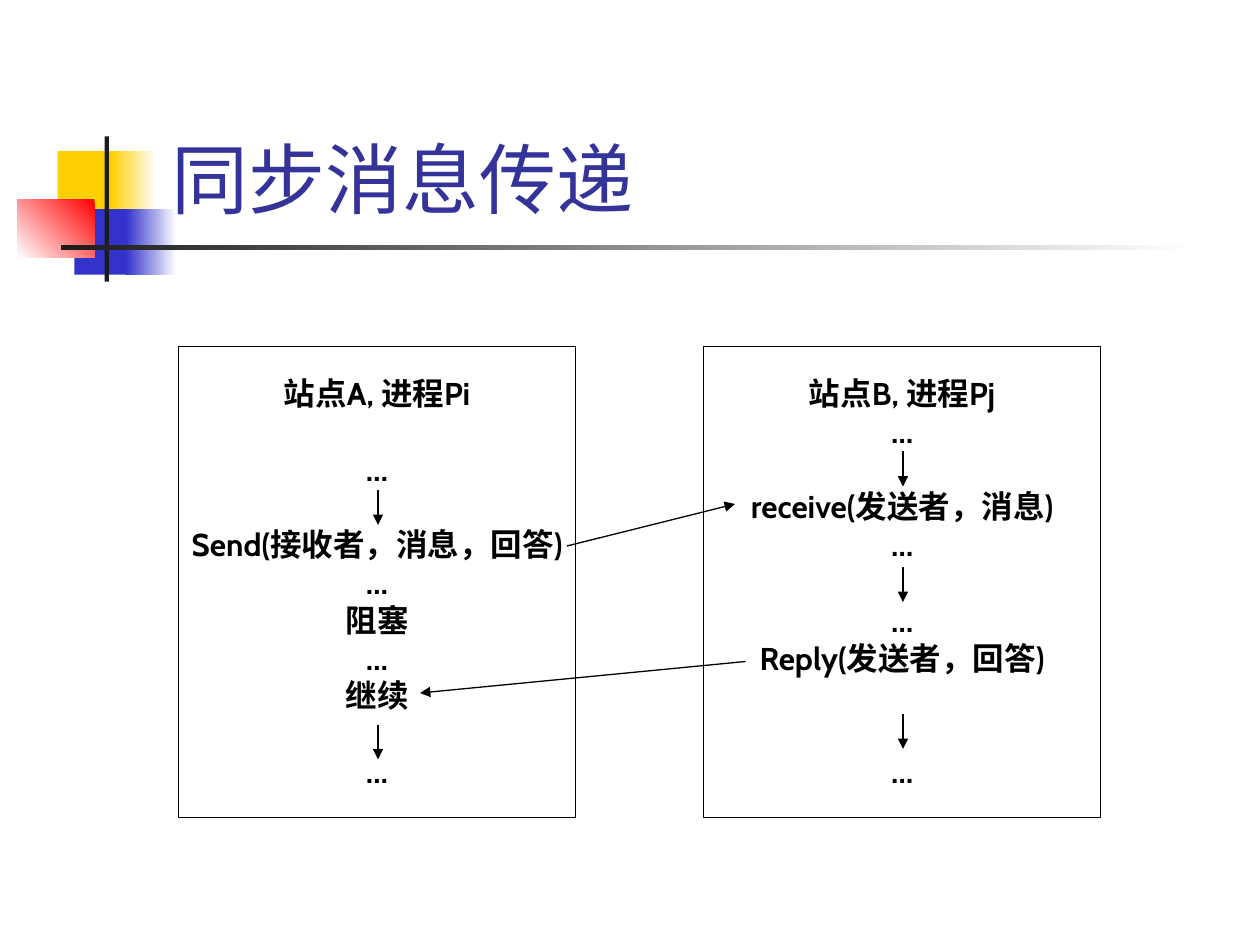
from dataclasses import dataclass
from typing import NamedTuple

from lxml.etree import SubElement
from pptx import Presentation
from pptx.dml.color import RGBColor as Rgb
from pptx.enum.shapes import MSO_CONNECTOR as Connector, MSO_SHAPE as Preset
from pptx.enum.text import MSO_ANCHOR as Anchor, MSO_AUTO_SIZE as AutoSize, PP_ALIGN as Align
from pptx.oxml.ns import qn
from pptx.util import Pt


@dataclass(frozen=True)
class Theme:
    font: str = "Cabin"
    title_size: float = 44
    step_size: float = 18
    step_pitch: float = 21.6
    line_width: float = 0.75
    title: Rgb = Rgb(0x33, 0x33, 0x99)
    ink: Rgb = Rgb(0, 0, 0)
    paper: Rgb = Rgb(0xFF, 0xFF, 0xFF)
    yellow: Rgb = Rgb(0xFF, 0xCF, 0x01)
    blue: Rgb = Rgb(0x33, 0x33, 0xCC)
    red: Rgb = Rgb(0xFF, 0, 0)
    rule: Rgb = Rgb(0x1C, 0x1C, 0x1C)


class Box(NamedTuple):
    left: float
    top: float
    width: float
    height: float


THEME = Theme()
ARROW_LENGTH = 20

SITE_A = [
    ("站点A, 进程Pi", 0),
    ("…", 1),
    ("Send(接收者，消息，回答)", 1),
    ("…", 0),
    ("阻塞", 0),
    ("…", 0),
    ("继续", 0),
    ("…", 1),
]
SITE_B = [
    ("站点B, 进程Pj", 0),
    ("…", 0),
    ("receive(发送者，消息)", 1),
    ("…", 0),
    ("…", 1),
    ("Reply(发送者，回答)", 0),
    ("…", 2),
]


def style_font(font, size, color, bold=False):
    font.name = THEME.font
    font.size = Pt(size)
    font.bold = bold
    font.color.rgb = color


def add_rectangle(slide, box):
    rectangle = slide.shapes.add_shape(Preset.RECTANGLE, *map(Pt, box))
    rectangle.shadow.inherit = False
    return rectangle


def add_block(slide, box, color, fade_to=None, angle=0):
    block = add_rectangle(slide, box)
    block.line.fill.background()
    if fade_to is None:
        block.fill.solid()
        block.fill.fore_color.rgb = color
    else:
        block.fill.gradient()
        block.fill.gradient_angle = angle
        for stop, position, shade in zip(block.fill.gradient_stops, (0, 1), (color, fade_to)):
            stop.position = position
            stop.color.rgb = shade


def add_arrow(slide, start, end):
    arrow = slide.shapes.add_connector(Connector.STRAIGHT, *map(Pt, (*start, *end)))
    arrow.line.color.rgb = THEME.ink
    arrow.line.width = Pt(THEME.line_width)
    SubElement(arrow.line._get_or_add_ln(), qn("a:tailEnd"), type="triangle")
    SubElement(arrow._element.spPr, qn("a:effectLst"))


def add_emblem(slide, box):
    blocks = [
        ((23, 8.4, 34.6, 37.4), THEME.yellow, None, 0),
        ((53.4, 8.4, 25.9, 37.4), THEME.paper, THEME.yellow, 180),
        ((32.5, 41.5, 33.1, 37.4), THEME.blue, None, 0),
        ((62, 41.5, 28.8, 37.4), THEME.paper, THEME.blue, 180),
        ((0, 35.8, 44, 33.1), THEME.red, THEME.paper, 225),
        ((49.8, 0, 2.5, box.height), THEME.rule, None, 0),
        ((24.6, 62.2, box.width - 24.6, 2.5), THEME.paper, THEME.rule, 180),
    ]
    for (left, top, width, height), color, fade_to, angle in blocks:
        place = Box(box.left + left, box.top + top, width, height)
        add_block(slide, place, color, fade_to, angle)


def place_title(slide, box, wording):
    title = slide.shapes.title
    title.left, title.top, title.width, title.height = map(Pt, box)
    frame = title.text_frame
    frame.text = wording
    frame.auto_size = AutoSize.NONE
    frame.vertical_anchor = Anchor.BOTTOM
    heading = frame.paragraphs[0]
    heading.alignment = Align.LEFT
    style_font(heading.runs[0].font, THEME.title_size, THEME.title)


def add_site(slide, box, steps, arrow_tops):
    site = add_rectangle(slide, box)
    site.fill.background()
    site.line.color.rgb = THEME.ink
    site.line.width = Pt(THEME.line_width)
    frame = site.text_frame
    frame.word_wrap = False
    frame.vertical_anchor = Anchor.MIDDLE
    frame.text = "\n".join(wording for wording, _ in steps)
    for step, (_, rows_skipped) in zip(frame.paragraphs, steps):
        step.alignment = Align.CENTER
        step.space_before = Pt(rows_skipped * THEME.step_pitch)
        style_font(step.runs[0].font, THEME.step_size, THEME.ink, bold=True)
    middle = box.left + box.width / 2 + 0.5
    for arrow_top in arrow_tops:
        top = box.top + arrow_top
        add_arrow(slide, (middle, top), (middle, top + ARROW_LENGTH))


def add_messages(slide, box):
    for start, end in [((222, 114), (318, 90)), ((324, 180), (138, 198))]:
        add_arrow(
            slide,
            (box.left + start[0], box.top + start[1]),
            (box.left + end[0], box.top + end[1]),
        )


def main():
    deck = Presentation()
    deck.slide_width, deck.slide_height = Pt(720), Pt(540)
    slide = deck.slides.add_slide(deck.slide_layouts[5])
    add_emblem(slide, Box(10, 78, 672.6, 83))
    place_title(slide, Box(90.7, 16.6, 613.4, 115.2), "同步消息传递")
    add_site(slide, Box(102, 198, 227, 269), SITE_A, (82, 216))
    add_site(slide, Box(402, 198, 227, 269), SITE_B, (60, 126, 210))
    add_messages(slide, Box(102, 198, 527, 269))
    deck.save("out.pptx")


if __name__ == "__main__":
    main()
